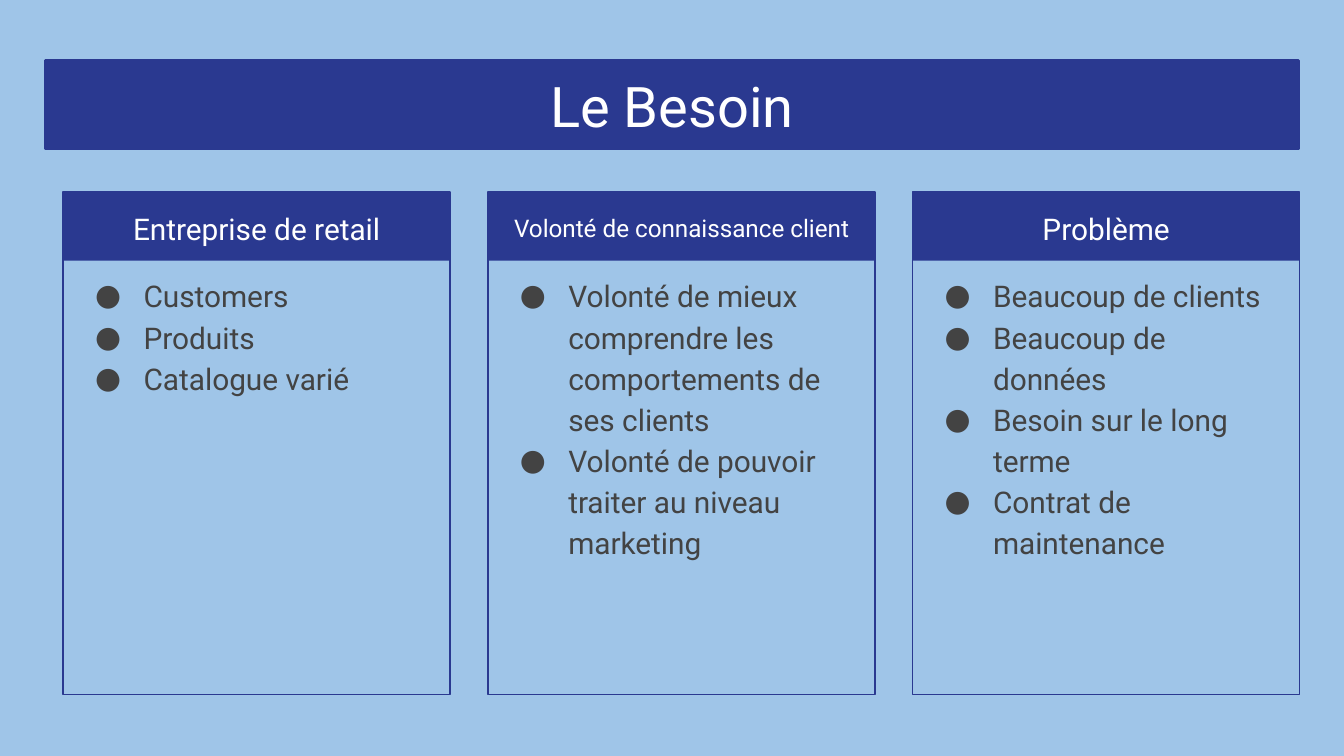
from lxml.etree import SubElement
from pptx import Presentation
from pptx.dml.color import RGBColor
from pptx.enum.shapes import MSO_SHAPE
from pptx.enum.text import MSO_ANCHOR, PP_ALIGN
from pptx.oxml.ns import qn
from pptx.util import Inches, Pt

COLORS = {"background": "9FC5E8", "navy": "2A3990", "white": "FFFFFF", "body": "434343"}
FONT = "Roboto"
COLUMNS, ROWS = 100, 56.25  # square grid cells

# Card geometry, in grid columns and rows
CARD_LEFT, CARD_STEP, CARD_WIDTH = 4.7, 31.6, 28.8
CARD_TOP, CARD_HEIGHT, HEADER_HEIGHT = 14.3, 37.4, 5.1

CARDS = [
    ("Entreprise de retail", 16, ["Customers", "Produits", "Catalogue varié"]),
    ("Volonté de connaissance client", 13, [
        "Volonté de mieux comprendre les comportements de ses clients",
        "Volonté de pouvoir traiter au niveau marketing",
    ]),
    ("Problème", 16, [
        "Beaucoup de clients",
        "Beaucoup de données",
        "Besoin sur le long terme",
        "Contrat de maintenance",
    ]),
]


def rgb(name):
    return RGBColor.from_string(COLORS[name])


class SlideBuilder:
    def __init__(self, prs):
        self.slide = prs.slides.add_slide(prs.slide_layouts[6])
        self.column = prs.slide_width / COLUMNS
        self.row = prs.slide_height / ROWS
        background = self.slide.background.fill
        background.solid()
        background.fore_color.rgb = rgb("background")

    def place(self, left, top, width, height):
        return (round(left * self.column), round(top * self.row),
                round(width * self.column), round(height * self.row))

    def box(self, shapes, area, fill=None, line_width=None):
        rect = shapes.add_shape(MSO_SHAPE.RECTANGLE, *self.place(*area))
        rect.shadow.inherit = False
        if fill:
            rect.fill.solid()
            rect.fill.fore_color.rgb = rgb(fill)
        else:
            rect.fill.background()
        if line_width:
            rect.line.color.rgb = rgb("navy")
            rect.line.width = Pt(line_width)
        else:
            rect.line.fill.background()
        return rect

    def set_text(self, shape, lines, size, color, align, anchor, spacing=None):
        frame = shape.text_frame
        frame.word_wrap = True
        frame.vertical_anchor = anchor
        frame.margin_left = frame.margin_right = Inches(0.1)
        frame.margin_top = frame.margin_bottom = Inches(0.1)
        frame.text = "\n".join(lines)
        for paragraph in frame.paragraphs:
            paragraph.alignment = align
            paragraph.line_spacing = spacing
            for run in paragraph.runs:
                run.font.name = FONT
                run.font.size = Pt(size)
                run.font.color.rgb = rgb(color)
        return frame

    def title(self, text, area):
        banner = self.box(self.slide.shapes, area, "navy", 1.5)
        self.set_text(banner, [text], 30, "white", PP_ALIGN.CENTER, MSO_ANCHOR.MIDDLE)

    def heading(self, text, size, area):
        heading = self.slide.shapes.add_textbox(*self.place(*area))
        self.set_text(heading, [text], size, "white", PP_ALIGN.CENTER, MSO_ANCHOR.MIDDLE, 1.15)

    def bullets(self, items, area):
        points = self.slide.shapes.add_textbox(*self.place(*area))
        frame = self.set_text(points, items, 16, "body", PP_ALIGN.LEFT, MSO_ANCHOR.TOP, 1.15)
        for paragraph in frame.paragraphs:
            props = paragraph._p.get_or_add_pPr()
            props.set("marL", str(Inches(0.5)))
            props.set("indent", str(Inches(-0.36)))
            bullet_color = SubElement(props, qn("a:buClr"))
            SubElement(bullet_color, qn("a:srgbClr"), val=COLORS["body"])
            SubElement(props, qn("a:buFont"), typeface=FONT)
            SubElement(props, qn("a:buChar"), char="●")

    def card(self, left, heading, heading_size, items):
        header = (left, CARD_TOP, CARD_WIDTH, HEADER_HEIGHT)
        body_top = CARD_TOP + HEADER_HEIGHT - 0.1
        body_height = CARD_TOP + CARD_HEIGHT - body_top
        panel = self.slide.shapes.add_group_shape().shapes
        self.box(panel, header, fill="navy")
        self.box(panel, (left, CARD_TOP, CARD_WIDTH, CARD_HEIGHT), line_width=0.75)
        self.heading(heading, heading_size, (left, CARD_TOP, CARD_WIDTH, HEADER_HEIGHT - 0.1))
        self.bullets(items, (left, body_top, CARD_WIDTH, body_height))


def main():
    prs = Presentation()
    prs.slide_width, prs.slide_height = Inches(10), Inches(5.625)
    builder = SlideBuilder(prs)

    # Title banner
    builder.title("Le Besoin", (3.4, 4.5, 93.2, 6.6))

    # Three evenly spaced cards
    for index, (heading, size, items) in enumerate(CARDS):
        builder.card(CARD_LEFT + index * CARD_STEP, heading, size, items)

    prs.save("out.pptx")


if __name__ == "__main__":
    main()
